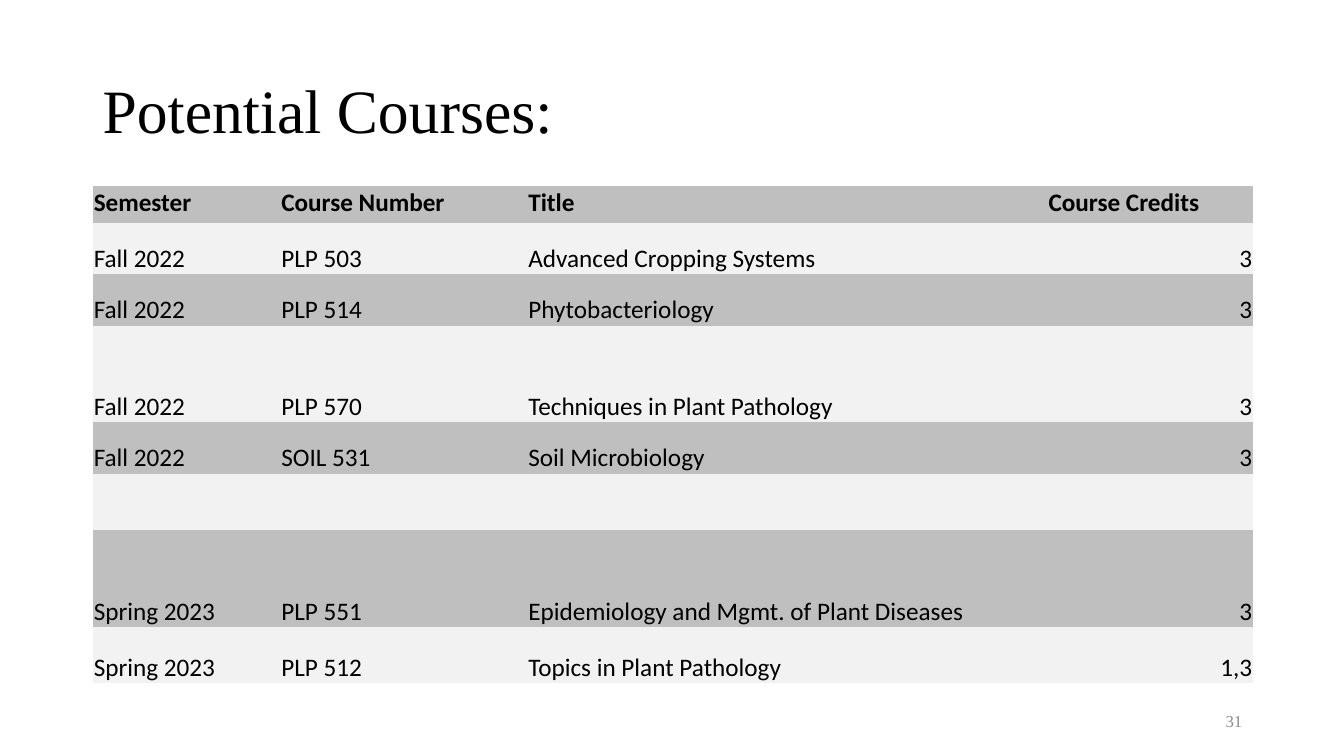
from pptx import Presentation
from pptx.dml.color import RGBColor
from pptx.enum import text
from pptx.oxml import ns
from pptx.util import Inches, Pt

BLACK = RGBColor(0x00, 0x00, 0x00)
NUMBER_GREY = RGBColor(0x8C, 0x8C, 0x8C)
BANDS = (RGBColor(0xBF, 0xBF, 0xBF), RGBColor(0xF2, 0xF2, 0xF2))
SERIF = "Times New Roman"
SANS = "Calibri"
NO_STYLE_NO_GRID = "{2D5ABB26-0587-4C30-8999-92F81FD0307C}"

COLUMN_WIDTHS = (1.86, 2.45, 5.16, 2.04)
ROW_HEIGHTS = (0.36, 0.51, 0.51, 0.96, 0.51, 0.56, 0.96, 0.56)
COURSES = (
    ("Semester", "Course Number", "Title", "Course Credits"),
    ("Fall 2022", "PLP 503", "Advanced Cropping Systems", "3"),
    ("Fall 2022", "PLP 514", "Phytobacteriology", "3"),
    ("Fall 2022", "PLP 570", "Techniques in Plant Pathology", "3"),
    ("Fall 2022", "SOIL 531", "Soil Microbiology", "3"),
    ("", "", "", ""),
    ("Spring 2023", "PLP 551", "Epidemiology and Mgmt. of Plant Diseases", "3"),
    ("Spring 2023", "PLP 512", "Topics in Plant Pathology", "1,3"),
)


def style_paragraph(p, font, size, color, align, bold=False):
    """Set the font and alignment of a paragraph."""
    p.alignment = align
    p.font.name = font
    p.font.size = Pt(size)
    p.font.bold = bold
    p.font.color.rgb = color


def add_text(slide, box, words, size, color, align):
    """Add a vertically centred serif text box and return its paragraph."""
    tf = slide.shapes.add_textbox(*map(Inches, box)).text_frame
    tf.word_wrap = True
    tf.vertical_anchor = text.MSO_ANCHOR.MIDDLE
    p = tf.paragraphs[0]
    p.text = words
    style_paragraph(p, SERIF, size, color, align)
    return p


def fill_cell(cell, words, band, header, align):
    """Write one table cell with its band colour."""
    cell.fill.solid()
    cell.fill.fore_color.rgb = band
    cell.margin_left = cell.margin_right = cell.margin_top = Inches(0.01)
    cell.margin_bottom = 0
    cell.vertical_anchor = text.MSO_ANCHOR.TOP if header else text.MSO_ANCHOR.BOTTOM
    cell.text = words
    style_paragraph(cell.text_frame.paragraphs[0], SANS, 18, BLACK, align, header)


def add_course_table(slide, box):
    """Add the banded table of courses."""
    frame = slide.shapes.add_table(len(COURSES), len(COLUMN_WIDTHS), *map(Inches, box))
    table = frame.table
    table._tbl.tblPr.find(ns.qn("a:tableStyleId")).text = NO_STYLE_NO_GRID
    for column, width in zip(table.columns, COLUMN_WIDTHS):
        column.width = Inches(width)
    for i, (row, height) in enumerate(zip(table.rows, ROW_HEIGHTS)):
        row.height = Inches(height)
        for j, words in enumerate(COURSES[i]):
            credits = i > 0 and j == len(COLUMN_WIDTHS) - 1
            align = text.PP_ALIGN.RIGHT if credits else text.PP_ALIGN.LEFT
            fill_cell(table.cell(i, j), words, BANDS[i % 2], i == 0, align)


def main():
    """Build the slide and save it."""
    prs = Presentation()
    prs.slide_width, prs.slide_height = Inches(13.33), Inches(7.5)
    slide = prs.slides.add_slide(prs.slide_layouts[6])
    title = add_text(slide, (0.92, 0.4, 11.5, 1.45), "Potential Courses:", 44,
                     BLACK, text.PP_ALIGN.LEFT)
    title.line_spacing = 0.9
    add_text(slide, (9.42, 6.95, 3, 0.4), "31", 12, NUMBER_GREY, text.PP_ALIGN.RIGHT)
    add_course_table(slide, (0.92, 1.85, 11.5, 4.95))
    prs.save("out.pptx")


if __name__ == "__main__":
    main()
